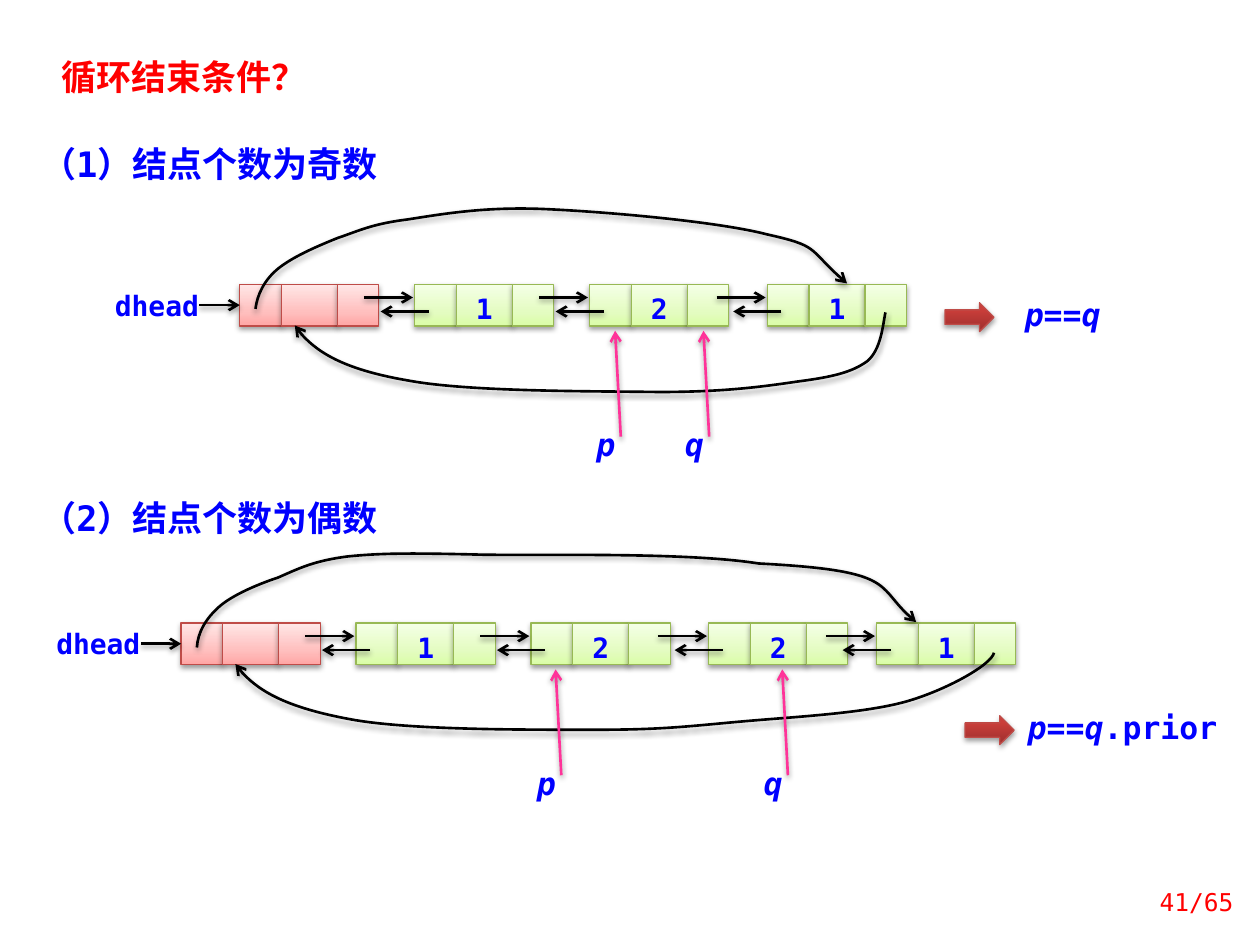
from lxml.etree import SubElement
from pptx import Presentation
from pptx.dml.color import RGBColor
from pptx.enum.shapes import MSO_CONNECTOR as Line, MSO_SHAPE as Preset
from pptx.enum.text import MSO_ANCHOR as Anchor, MSO_AUTO_SIZE as AutoSize, PP_ALIGN as Align
from pptx.oxml.ns import qn
from pptx.util import Pt

RED = RGBColor(0xFF, 0x00, 0x00)
BLUE = RGBColor(0x00, 0x00, 0xFF)
BLACK = RGBColor(0x00, 0x00, 0x00)
WHITE = RGBColor(0xFF, 0xFF, 0xFF)
PINK = RGBColor(0xFF, 0x33, 0x99)
HEAD_LINE = RGBColor(0xBF, 0x4C, 0x48)
NODE_LINE = RGBColor(0x98, 0xB9, 0x55)
HEAD_STOPS = {0: RGBColor(0xFF, 0xA6, 0xA5), 35: RGBColor(0xFF, 0xC0, 0xBF), 100: RGBColor(0xFF, 0xE7, 0xE7)}
NODE_STOPS = {0: RGBColor(0xDA, 0xFD, 0xA7), 35: RGBColor(0xE4, 0xFC, 0xC2), 100: RGBColor(0xF5, 0xFF, 0xE7)}
RESULT_STOPS = {0: RGBColor(0x9C, 0x2F, 0x2D), 80: RGBColor(0xCB, 0x3E, 0x3A), 100: RGBColor(0xCE, 0x3B, 0x37)}

MONO = "DejaVu Sans Mono"
CJK = "Noto Sans CJK SC"
HEADING = {"name": MONO, "size": Pt(20), "bold": True}
LABEL = {"name": MONO, "size": Pt(16), "bold": True}
VARIABLE = {"name": MONO, "size": Pt(18), "bold": True}
PAGE = {"name": MONO, "size": Pt(14)}

LINK_CELL, DATA_CELL, CELL_HEIGHT = 23.75, 32, 23.75
NODE_OFFSETS = (100, 200, 301.5, 397.5)  # from the left of the head node

# Each curve: start point, then two control points and an end point per segment
ODD_CURVES = (
    [(506, 178.5), (504.5, 186), (503.5, 200), (495.5, 206.5), (486.5, 213), (475, 215.5), (456, 218),
     (435.5, 221), (414, 224), (376.5, 224), (340, 223.5), (268.5, 224), (233.5, 217.5),
     (198.5, 211.5), (177, 199.5), (168.5, 186)],
    [(146, 176.5), (147, 168.5), (151, 160), (159, 153.5), (167, 147), (180.5, 141), (193, 136),
     (205, 132), (212.5, 128), (232.5, 125.5), (252, 122.5), (276.5, 118), (311, 119.5),
     (345.5, 121), (409.5, 126.5), (438.5, 134), (467.5, 140.5), (461, 142), (484, 162)],
)
EVEN_CURVES = (
    [(112.5, 370), (113, 361.5), (117.5, 353.5), (125.5, 346.5), (133, 340), (147, 334), (159, 330),
     (171.5, 324.5), (179.5, 320.5), (198.5, 318), (218, 316), (236, 316), (276, 317),
     (314.5, 317.5), (392.5, 315.5), (433.5, 322), (510.5, 326), (499.5, 335.5), (523.5, 355.5)],
    [(568, 373), (566.5, 380), (540.5, 394.5), (517.5, 401), (494, 407.5), (456.5, 409.5), (427.5, 412),
     (398, 414.5), (381, 417), (343.5, 417), (305.5, 417), (234.5, 417.5), (200, 411),
     (165, 404.5), (143.5, 393), (134.5, 379.5)],
)


def assign(target, values):
    for name, value in values.items():
        setattr(target, name, value)


def points(*lengths):
    return [Pt(length) for length in lengths]


def add_shadow(shape):
    effects = SubElement(shape.element.spPr, qn("a:effectLst"))
    shadow = SubElement(effects, qn("a:outerShdw"), blurRad=str(Pt(3.1)), dist=str(Pt(1.6)),
                        dir="5400000", rotWithShape="0")
    color = SubElement(shadow, qn("a:srgbClr"), val=str(BLACK))
    SubElement(color, qn("a:alpha"), val="38000")


def style_stroke(stroke, color, end):
    assign(stroke.line, {"width": Pt(1.5)})
    stroke.line.fill.solid()
    stroke.line.color.rgb = color
    SubElement(stroke.line._get_or_add_ln(), qn(f"a:{end}"), type="arrow")
    add_shadow(stroke)


def write(shape, runs, font, color=BLUE, frame=None, paragraph=None):
    """Fill the shape with one paragraph of (text, italic) runs."""
    text = shape.text_frame
    assign(text, {"word_wrap": True, **(frame or {})})
    line = text.paragraphs[0]
    assign(line, paragraph or {})
    for words, italic in runs:
        run = line.add_run()
        run.text = words
        assign(run.font, {**font, "italic": italic})
        run.font.color.rgb = color
        SubElement(run.font._element, qn("a:ea"), typeface=CJK)


def add_label(shapes, box, runs, font, color=BLUE, frame=None, paragraph=None):
    label = shapes.add_textbox(*points(*box))
    write(label, runs, font, color, frame or {"auto_size": AutoSize.SHAPE_TO_FIT_TEXT}, paragraph)


def add_gradient_shape(shapes, preset, box, stops, outline):
    shape = shapes.add_shape(preset, *points(*box))
    shape.fill.gradient()
    shape.fill.gradient_angle = 90
    stop_list = next(shape.element.iter(qn("a:gsLst")))
    for stop in list(stop_list):
        stop_list.remove(stop)
    for percent, color in stops.items():
        stop = SubElement(stop_list, qn("a:gs"), pos=str(percent * 1000))
        SubElement(stop, qn("a:srgbClr"), val=str(color))
    shape.line.color.rgb = outline
    shape.line.width = Pt(0.75)
    add_shadow(shape)
    return shape


def add_arrow(shapes, start, stop, color=BLACK, end="tailEnd"):
    arrow = shapes.add_connector(Line.STRAIGHT, *points(*start, *stop))
    style_stroke(arrow, color, end)
    return arrow


def add_curve(shapes, knots):
    """Draw the points as a polyline, then turn every three segments into one Bézier."""
    start, *rest = [points(*knot) for knot in knots]
    builder = shapes.build_freeform(*start)
    builder.add_line_segments(rest, close=False)
    curve = builder.convert_to_shape()
    segments = list(curve.element.iter(qn("a:lnTo")))
    for i in range(0, len(segments), 3):
        bezier = SubElement(segments[i].getparent(), qn("a:cubicBezTo"))
        for segment in segments[i:i + 3]:
            bezier.append(segment[0])
            segment.getparent().remove(segment)
    curve.fill.background()
    style_stroke(curve, BLACK, "tailEnd")


def add_node(shapes, left, top, stops, outline, value=None):
    """Draw prior, data and next cells; return the prior cell."""
    cells = []
    for width in (LINK_CELL, DATA_CELL, LINK_CELL):
        cells.append(add_gradient_shape(shapes, Preset.RECTANGLE, (left, top, width, CELL_HEIGHT), stops, outline))
        left += width
    if value:
        write(cells[1], [(value, False)], LABEL,
              frame={"margin_top": 0, "margin_bottom": 0, "vertical_anchor": Anchor.MIDDLE},
              paragraph={"alignment": Align.CENTER, "line_spacing": Pt(23)})
    return cells[0]


def add_head(shapes, left, top):
    name = shapes.add_shape(Preset.RECTANGLE, *points(left - 75, top, 61, CELL_HEIGHT))
    name.shadow.inherit = False
    name.fill.solid()
    name.fill.fore_color.rgb = WHITE
    name.line.fill.background()
    write(name, [("dhead", False)], LABEL,
          frame={"margin_left": Pt(1.5), "margin_top": 0, "margin_bottom": 0, "vertical_anchor": Anchor.MIDDLE},
          paragraph={"alignment": Align.CENTER})
    prior_cell = add_node(shapes, left, top, HEAD_STOPS, HEAD_LINE)
    middle = top + CELL_HEIGHT / 2
    add_arrow(shapes, (left - 23, middle), (left, middle)).end_connect(prior_cell, 1)


def add_pointer(shapes, name, x, y):
    """Draw a named pointer whose tip is at x, y."""
    add_label(shapes, (x - 25, y + 54.5, 39.5, 25), [(name, True)], VARIABLE,
              paragraph={"alignment": Align.CENTER, "line_spacing": 0.8})
    add_arrow(shapes, (x, y), (x + 3.25, y + 60.5), PINK, "headEnd")


def add_result(shapes, left, top, width, runs):
    add_label(shapes, (left + 28, top - 8, width, 29), runs, VARIABLE, paragraph={"alignment": Align.CENTER})
    add_gradient_shape(shapes, Preset.RIGHT_ARROW, (left, top, 28, 16.5), RESULT_STOPS, HEAD_LINE)


def add_linked_list(slide, left, top, values, curves, pointers):
    shapes = slide.shapes.add_group_shape().shapes
    add_head(shapes, left, top)
    nodes = [left + offset for offset in NODE_OFFSETS[:len(values)]]
    for node, value in zip(nodes, values):
        add_node(shapes, node, top, NODE_STOPS, NODE_LINE, value)
    for node in nodes:
        add_arrow(shapes, (node - 29, top + 7.5), (node - 1, top + 7.5))
        add_arrow(shapes, (node + 8, top + 15.5), (node - 19.5, top + 15.5))
    for knots in curves:
        add_curve(shapes, knots)
    for name, offset in pointers.items():
        add_pointer(shapes, name, left + offset, top + 26.5)
    return shapes


def main():
    deck = Presentation()
    deck.slide_width, deck.slide_height = points(720, 540)
    slide = deck.slides.add_slide(deck.slide_layouts[5])
    title = slide.shapes.title
    assign(title, dict(zip(("left", "top", "width", "height"), points(28, 28, 196.5, 31.5))))
    write(title, [("循环结束条件？", False)], {**HEADING, "name": CJK}, RED,
          {"vertical_anchor": Anchor.TOP, "auto_size": AutoSize.NONE}, {"alignment": Align.LEFT})

    for top, heading in ((78, "（1）结点个数为奇数"), (280, "（2）结点个数为偶数")):
        add_label(slide.shapes, (16.5, top, 208, 31.5), [(heading, False)], HEADING)

    odd = add_linked_list(slide, 137, 162.5, "121", ODD_CURVES, {"p": 214.5, "q": 265})
    add_result(odd, 540, 173, 78.5, [("p", True), ("==", False), ("q", True)])
    even = add_linked_list(slide, 103.5, 356, "1221", EVEN_CURVES, {"p": 214, "q": 343.5})
    add_result(even, 551.5, 409, 124, [("p", True), ("==", False), ("q", True), (".prior", False)])

    add_label(slide.shapes, (646.5, 500.5, 65.5, 29), [("41/65", False)], PAGE, RED,
              {"vertical_anchor": Anchor.MIDDLE}, {"alignment": Align.RIGHT})
    deck.save("out.pptx")


if __name__ == "__main__":
    main()
